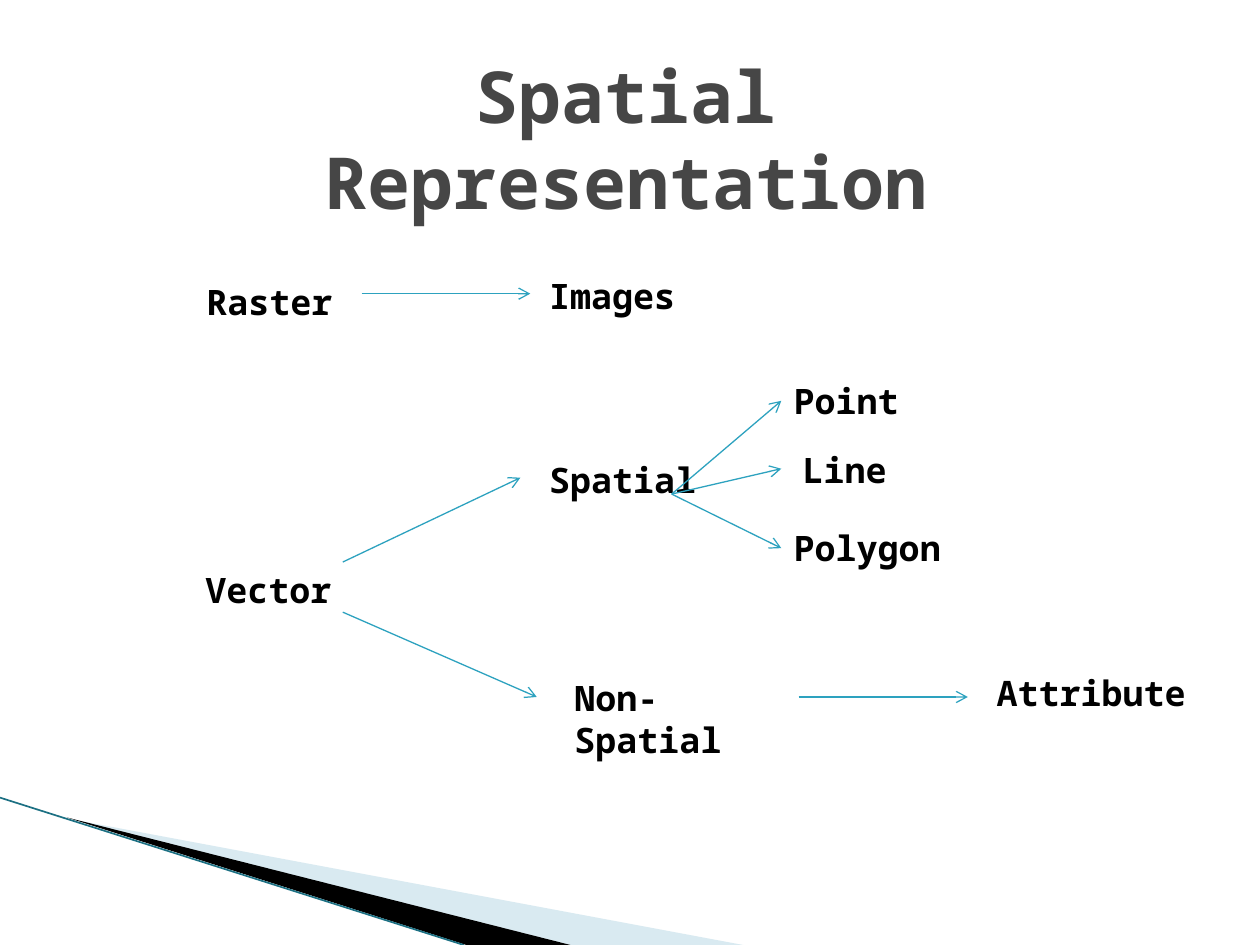
from lxml import etree
from pptx import Presentation
from pptx.dml.color import RGBColor
from pptx.enum.shapes import MSO_CONNECTOR
from pptx.enum.text import MSO_ANCHOR, MSO_AUTO_SIZE, PP_ALIGN
from pptx.oxml.ns import qn
from pptx.util import Cm, Pt

STRAIGHT = MSO_CONNECTOR.STRAIGHT
TOP = MSO_ANCHOR.TOP
GROW = MSO_AUTO_SIZE.SHAPE_TO_FIT_TEXT
CENTER = PP_ALIGN.CENTER
LEFT = PP_ALIGN.LEFT
LEFT_SIDE = 1

COLORS = {
    "title": "464646",
    "text": "000000",
    "arrow": "2DA2BF",
    "pale": "A0CBDC",
    "dark": "000000",
    "edge": "1C7083",
}


class SlideBuilder:
    font = "Noto Sans Mono"
    title_size = 41
    label_size = 20
    label_height = 1.12

    def __init__(self, slide):
        self.slide = slide

    def color(self, name):
        return RGBColor.from_string(COLORS[name])

    def set_text(self, shape, words, size, color, align):
        frame = shape.text_frame
        frame.word_wrap = True
        frame.auto_size = GROW
        frame.vertical_anchor = TOP
        paragraph = frame.paragraphs[0]
        paragraph.alignment = align
        run = paragraph.add_run()
        run.text = words
        run.font.name = self.font
        run.font.size = Pt(size)
        run.font.bold = True
        run.font.color.rgb = self.color(color)

    def title(self, words, left, top, width, height):
        heading = self.slide.shapes.title
        heading.left, heading.top = Cm(left), Cm(top)
        heading.width, heading.height = Cm(width), Cm(height)
        self.set_text(heading, words, self.title_size, "title", CENTER)

    def label(self, words, left, top, width):
        box = self.slide.shapes.add_textbox(
            Cm(left), Cm(top), Cm(width), Cm(self.label_height))
        self.set_text(box, words, self.label_size, "text", LEFT)
        return box

    def line(self, start, end, color, weight):
        connector = self.slide.shapes.add_connector(
            STRAIGHT, *map(Cm, start + end))
        connector.line.color.rgb = self.color(color)
        connector.line.width = Pt(weight)
        etree.SubElement(connector._element.spPr, qn("a:effectLst"))
        return connector

    def arrow(self, start, end, target=None):
        connector = self.line(start, end, "arrow", 0.75)
        outline = connector._element.spPr.find(qn("a:ln"))
        etree.SubElement(outline, qn("a:tailEnd"), type="arrow")
        if target is not None:
            connector.end_connect(target, LEFT_SIDE)

    def wedge(self, points, color, opacity=100):
        first, *rest = [(Cm(x), Cm(y)) for x, y in points]
        builder = self.slide.shapes.build_freeform(*first)
        builder.add_line_segments(rest, close=True)
        shape = builder.convert_to_shape()
        shape.shadow.inherit = False
        shape.fill.solid()
        shape.fill.fore_color.rgb = self.color(color)
        shape.line.fill.background()
        if opacity < 100:
            fill = shape._element.spPr.find(qn("a:solidFill"))
            etree.SubElement(fill[0], qn("a:alpha"), val=str(opacity * 1000))


def main():
    deck = Presentation()
    deck.slide_width, deck.slide_height = Cm(25.4), Cm(19.05)
    page = SlideBuilder(deck.slides.add_slide(deck.slide_layouts[5]))

    # Corner decoration
    bottom = 19.05
    page.wedge([(1.4, 16.51), (14.98, bottom), (11.5, bottom)], "pale", 40)
    page.wedge([(1.35, 16.48), (11.5, bottom), (9.4, bottom)], "dark")
    page.line((0, 16.08), (9.35, bottom), "edge", 0.95)

    page.title("Spatial Representation", 4.45, 0.91, 16.36, 2.01)

    # Raster branch
    page.label("Raster", 3.91, 5.54, 5.21)
    page.label("Images", 10.82, 5.41, 7.01)
    page.arrow((7.29, 5.92), (10.69, 5.92))

    # Vector branch
    page.label("Vector", 3.89, 11.33, 5.21)
    page.label("Spatial", 10.82, 9.12, 3.89)
    page.label("Non- Spatial", 11.33, 13.51, 4.85)
    page.label("Attribute", 19.84, 13.41, 4.39)
    page.arrow((6.91, 11.33), (10.49, 9.63))
    page.arrow((6.91, 12.34), (10.82, 14.05))
    page.arrow((16.1, 14.05), (19.51, 14.05))

    # Spatial primitives
    point = page.label("Point", 15.75, 7.52, 3.73)
    page.label("Line", 15.93, 8.92, 3.4)
    polygon = page.label("Polygon", 15.75, 10.49, 4.09)
    fan = (13.54, 9.96)
    page.arrow(fan, (15.75, 8.08), point)
    page.arrow(fan, (15.75, 9.45))
    page.arrow(fan, (15.75, 11.05), polygon)

    deck.save("out.pptx")


if __name__ == "__main__":
    main()
